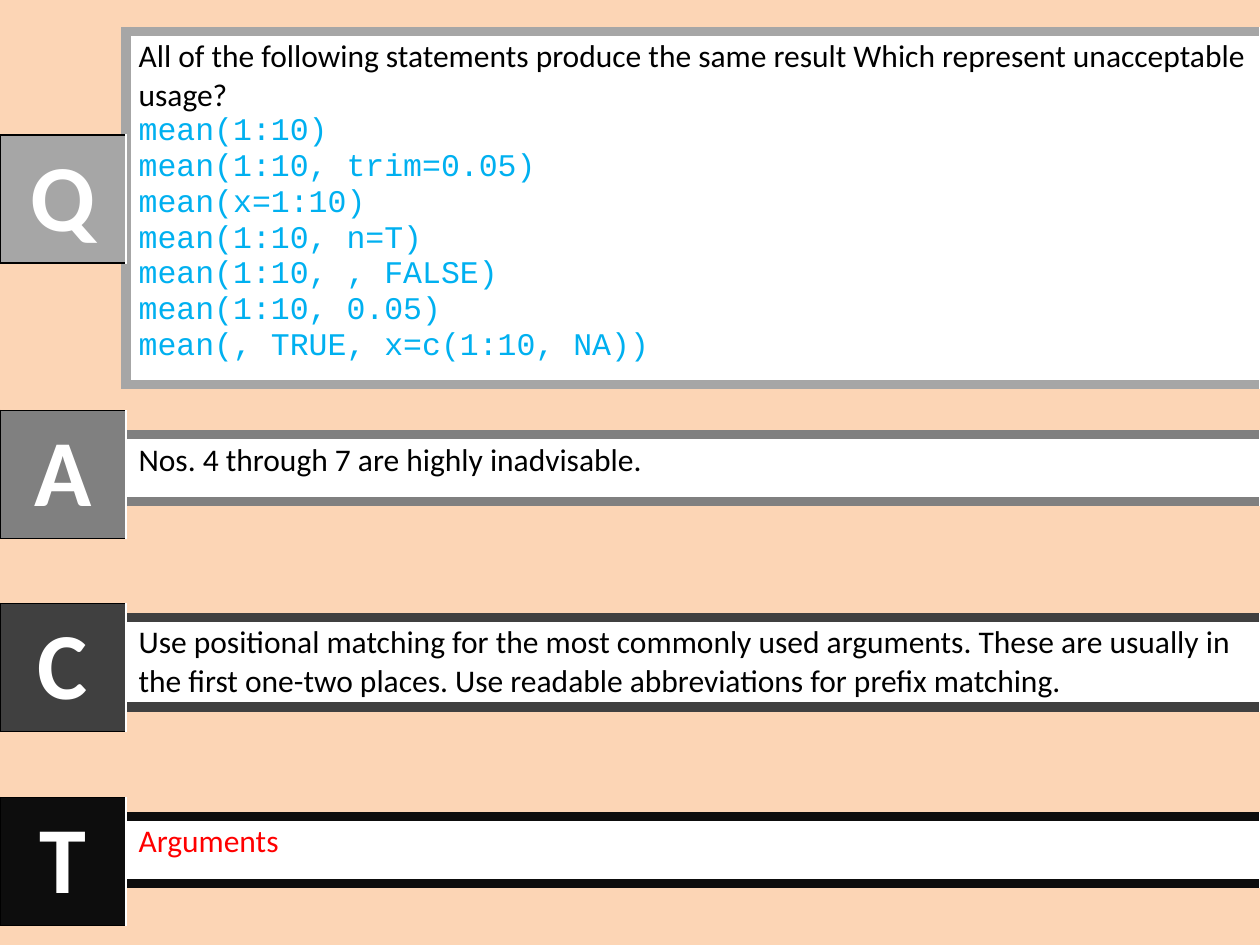
from lxml.etree import SubElement
from pptx import Presentation
from pptx.dml.color import RGBColor
from pptx.enum.text import MSO_ANCHOR, PP_ALIGN
from pptx.oxml.ns import qn
from pptx.util import Inches, Pt

WHITE = RGBColor(0xFF, 0xFF, 0xFF)
BLACK = RGBColor(0, 0, 0)
RED = RGBColor(0xFF, 0, 0)
CODE_BLUE = RGBColor(0, 0xB0, 0xF0)
PEACH = RGBColor(0xFC, 0xD5, 0xB5)
LIGHT_GREY = RGBColor(0xA6, 0xA6, 0xA6)
MID_GREY = RGBColor(0x80, 0x80, 0x80)
DARK_GREY = RGBColor(0x40, 0x40, 0x40)
NEAR_BLACK = RGBColor(0x0D, 0x0D, 0x0D)

QUESTION = ("All of the following statements produce the same result "
            "Which represent unacceptable usage?")
CALLS = [
    "mean(1:10)",
    "mean(1:10, trim=0.05)",
    "mean(x=1:10)",
    "mean(1:10, n=T)",
    "mean(1:10, , FALSE)",
    "mean(1:10, 0.05)",
    "mean(, TRUE, x=c(1:10, NA))",
]
ANSWER = "Nos. 4 through 7 are highly inadvisable."
COMMENT = ("Use positional matching for the most commonly used arguments. "
           "These are usually in the first one-two places. "
           "Use readable abbreviations for prefix matching.")
TOPIC = "Arguments"

# letter, shade, letter top, panel top, panel height, panel text, text colour, code lines
SECTIONS = [
    ("Q", LIGHT_GREY, 1.07, 0.25, 2.8, QUESTION, BLACK, CALLS),
    ("A", MID_GREY, 3.26, 3.45, 0.53, ANSWER, BLACK, []),
    ("C", DARK_GREY, 4.79, 4.9, 0.7, COMMENT, BLACK, []),
    ("T", NEAR_BLACK, 6.33, 6.48, 0.53, TOPIC, RED, []),
]
SLIDE_W, SLIDE_H = 10, 7.5
TAB = 1  # side of the square letter tabs
THIN, THICK = 1, 6

prs = Presentation()
prs.slide_width, prs.slide_height = Inches(SLIDE_W), Inches(SLIDE_H)
slide = prs.slides.add_slide(prs.slide_layouts[6])
slide.background.fill.solid()
slide.background.fill.fore_color.rgb = PEACH


def add_box(x, y, width, height, fill, **borders):
    """Add a one-cell table; borders are left, right, top, bottom (colour, points)."""
    frame = slide.shapes.add_table(1, 1, *map(Inches, (x, y, width, height)))
    table = frame.table
    table.first_row = table.horz_banding = False
    cell = table.cell(0, 0)
    props = cell._tc.get_or_add_tcPr()
    for side in ("left", "right", "top", "bottom"):
        color, points = borders[side]
        line = SubElement(props, qn("a:ln" + side[0].upper()), w=str(int(Pt(points))))
        solid = SubElement(line, qn("a:solidFill"))
        SubElement(solid, qn("a:srgbClr"), val=str(color))
    cell.fill.solid()
    cell.fill.fore_color.rgb = fill
    return cell


def write(paragraph, text, color=BLACK, size=18, font="Calibri", bold=False,
          align=PP_ALIGN.LEFT):
    paragraph.alignment = align
    run = paragraph.add_run()
    run.text = text
    run.font.name, run.font.size, run.font.bold = font, Pt(size), bold
    run.font.color.rgb = color


# Text panels, behind the tabs
for letter, shade, _, top, height, text, color, code in SECTIONS:
    left_edge = (shade, THICK) if code else (WHITE, THIN)
    panel = add_box(TAB, top, SLIDE_W - TAB, height, WHITE, left=left_edge,
                    right=(WHITE, THIN), top=(shade, THICK), bottom=(shade, THICK))
    write(panel.text_frame.paragraphs[0], text, color)
    for call in code:
        write(panel.text_frame.add_paragraph(), call, CODE_BLUE, font="Courier New")

# Letter tabs along the left edge
for letter, shade, top, *_ in SECTIONS:
    edge = (BLACK, THIN)
    tab = add_box(0, top, TAB, TAB, shade, left=edge, right=(WHITE, THIN),
                  top=edge, bottom=edge)
    tab.vertical_anchor = MSO_ANCHOR.MIDDLE
    write(tab.text_frame.paragraphs[0], letter, WHITE, size=54, bold=True,
          align=PP_ALIGN.CENTER)

prs.save("out.pptx")
